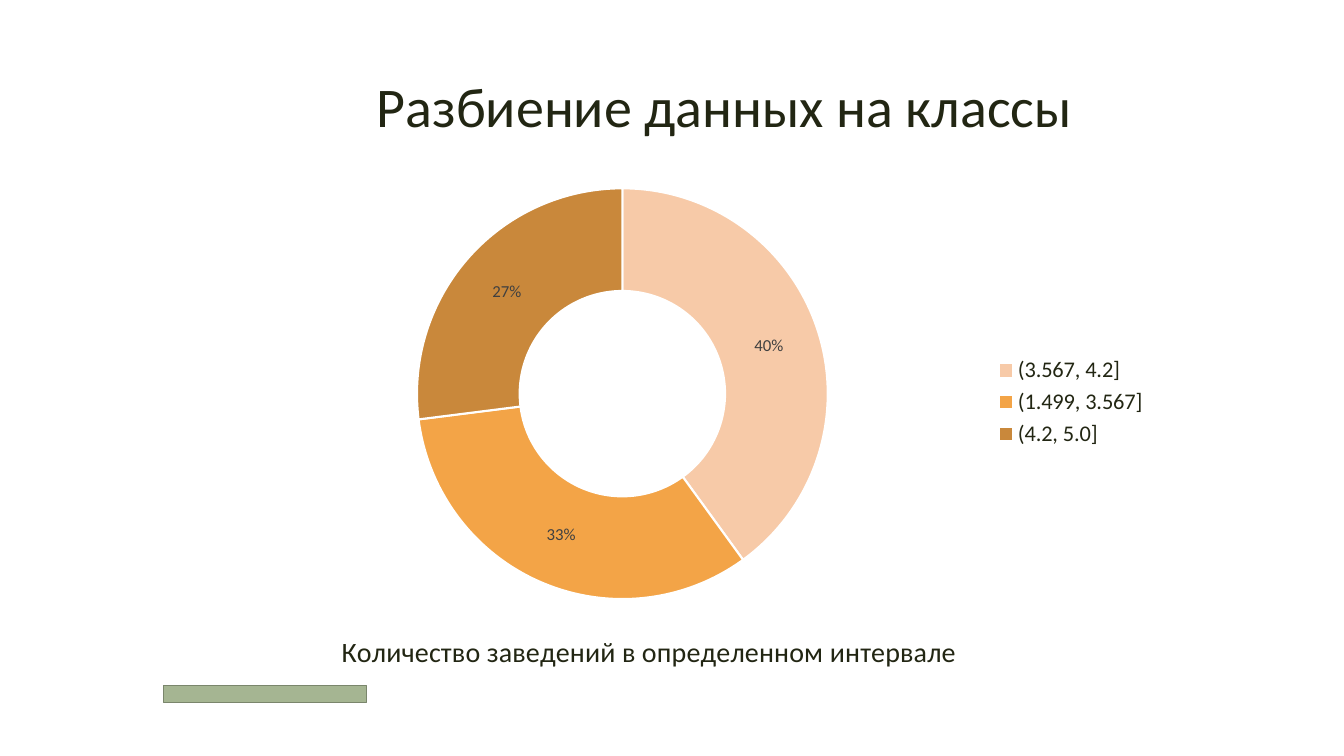
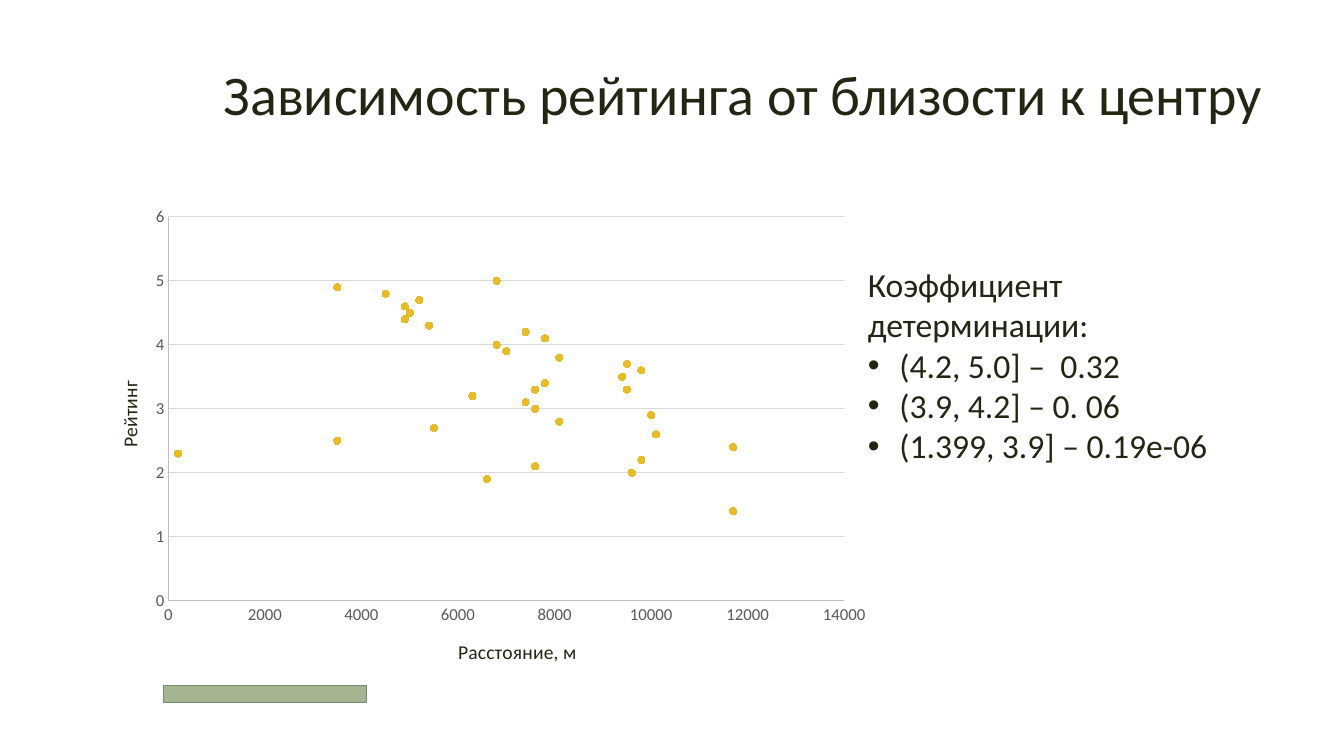
from lxml import etree
from pptx import Presentation
from pptx.chart.data import CategoryChartData, XyChartData
from pptx.dml.color import RGBColor
from pptx.enum import chart as ch, shapes, text
from pptx.oxml.ns import qn
from pptx.util import Pt

FONT = "Calibri"
COLORS = {
    "text": "222613", "band": "A5B592", "band_line": "7A866C",
    "label": "404040", "tick": "595959", "axis": "BFBFBF", "grid": "D9D9D9",
    "marker": "E7BC29", "gap": "FFFFFF",
}

CLASSES_TITLE = "Разбиение данных на классы"
CLASSES_CAPTION = "Количество заведений в определенном интервале"
CLASSES = [  # interval, share in percent, colour
    ("(3.567, 4.2]", 40, "F7CAA8"),
    ("(1.499, 3.567]", 33, "F3A447"),
    ("(4.2, 5.0]", 27, "C9883B"),
]

RATING_TITLE = "Зависимость рейтинга от близости к центру"
DISTANCE_AXIS, RATING_AXIS = "Расстояние, м", "Рейтинг"
RATINGS = [  # distance in metres, rating
    (11700, 1.4), (6600, 1.9), (9600, 2), (7600, 2.1), (9800, 2.2),
    (200, 2.3), (11700, 2.4), (3500, 2.5), (10100, 2.6), (5500, 2.7),
    (8100, 2.8), (10000, 2.9), (7600, 3), (7400, 3.1), (6300, 3.2),
    (9500, 3.3), (7600, 3.3), (7800, 3.4), (9400, 3.5), (9800, 3.6),
    (9500, 3.7), (8100, 3.8), (7000, 3.9), (6800, 4), (7800, 4.1),
    (7400, 4.2), (5400, 4.3), (4900, 4.4), (5000, 4.5), (4900, 4.6),
    (5200, 4.7), (4500, 4.8), (3500, 4.9), (6800, 5),
]
COEFFICIENT_HEADING = "Коэффициент детерминации:"
COEFFICIENTS = ["(4.2, 5.0] –  0.32", "(3.9, 4.2] – 0. 06", "(1.399, 3.9] – 0.19e-06"]


def rgb(name):
    return RGBColor.from_string(COLORS.get(name, name))


def style_font(font, size, color="text"):
    font.name, font.size, font.bold = FONT, Pt(size), False
    font.color.rgb = rgb(color)


def write(paragraph, content, size, color="text", align=None, spacing=None, bullet=None):
    """Fill a paragraph; bullet is True, False, or None to leave bullets alone."""
    run = paragraph.add_run()
    run.text = content
    style_font(run.font, size, color)
    paragraph.alignment = align
    if spacing:
        paragraph.line_spacing = Pt(spacing)
    if bullet is not None:
        paragraph.space_before = Pt(0)
        properties = paragraph._p.get_or_add_pPr()
        indent = Pt(22.5) if bullet else 0
        properties.set("marL", str(indent))
        properties.set("indent", str(-indent))
        if bullet:
            etree.SubElement(properties, qn("a:buFont")).set("typeface", "Arial")
            etree.SubElement(properties, qn("a:buChar")).set("char", "•")
        else:
            etree.SubElement(properties, qn("a:buNone"))


def place(shape, left, top, width, height):
    shape.left, shape.top, shape.width, shape.height = map(Pt, (left, top, width, height))


def set_layout(element, **fractions):
    """Fix a plot area or title inside its chart, in fractions of the chart."""
    for old in element.findall(qn("c:layout")):
        element.remove(old)
    layout = etree.Element(qn("c:layout"))
    manual = etree.SubElement(layout, qn("c:manualLayout"))
    if "w" in fractions:
        etree.SubElement(manual, qn("c:layoutTarget")).set("val", "inner")
    for key in ("x", "y"):
        etree.SubElement(manual, qn(f"c:{key}Mode")).set("val", "edge")
    for key, value in fractions.items():
        etree.SubElement(manual, qn(f"c:{key}")).set("val", str(value))
    element.insert(0 if element.find(qn("c:tx")) is None else 1, layout)


def write_chart_title(title, content, size, x, y):
    write(title.text_frame.paragraphs[0], content, size)
    set_layout(title._element, x=x, y=y)


def start_slide(presentation, layout, title, box, align):
    slide = presentation.slides.add_slide(presentation.slide_layouts[layout])
    place(slide.shapes.title, *box)
    frame = slide.shapes.title.text_frame
    frame.auto_size = text.MSO_AUTO_SIZE.NONE
    frame.vertical_anchor = text.MSO_ANCHOR.MIDDLE
    write(frame.paragraphs[0], title, 40, align=align, spacing=40)

    band = slide.shapes.add_shape(
        shapes.MSO_SHAPE.RECTANGLE, Pt(116.6), Pt(489.6), Pt(145.4), Pt(12.2))
    band.shadow.inherit = False
    band.fill.solid()
    band.fill.fore_color.rgb = rgb("band")
    band.line.color.rgb = rgb("band_line")
    band.line.width = Pt(1)
    return slide


def add_chart(slide, kind, box, data, plot_box):
    chart = slide.shapes.add_chart(kind, *map(Pt, box), data).chart
    style_font(chart.font, 10)
    set_layout(chart.element.find(".//" + qn("c:plotArea")), **plot_box)
    return chart


def add_classes_slide(presentation):
    slide = start_slide(presentation, 5, CLASSES_TITLE, (262, 26.6, 690, 104.4),
                        text.PP_ALIGN.LEFT)
    data = CategoryChartData()
    data.categories = [interval for interval, _, _ in CLASSES]
    data.add_series("Series 1", [share for _, share, _ in CLASSES])
    chart = add_chart(slide, ch.XL_CHART_TYPE.DOUGHNUT, (189.4, 87.1, 637.9, 400.3),
                      data, dict(x=0.17, y=0.11, w=0.46, h=0.75))
    chart.has_title = True
    write_chart_title(chart.chart_title, CLASSES_CAPTION, 20, x=0.08, y=0.9)
    chart.has_legend = True
    chart.legend.position = ch.XL_LEGEND_POSITION.RIGHT
    chart.legend.include_in_layout = False
    style_font(chart.legend.font, 16)

    plot = chart.plots[0]
    plot.vary_by_categories = True
    plot.has_data_labels = True
    labels = plot.data_labels
    labels.show_percentage, labels.show_value = True, False
    labels.number_format, labels.number_format_is_linked = "0%", False
    style_font(labels.font, 12, "label")
    for index, (_, _, color) in enumerate(CLASSES):
        look = plot.series[0].points[index].format
        look.fill.solid()
        look.fill.fore_color.rgb = rgb(color)
        look.line.color.rgb = rgb("gap")
        look.line.width = Pt(1.5)


def style_axis(axis, title, maximum, step, x, y):
    axis.minimum_scale, axis.maximum_scale, axis.major_unit = 0, maximum, step
    axis.major_tick_mark = axis.minor_tick_mark = ch.XL_TICK_MARK.NONE
    axis.tick_labels.number_format = "General"
    axis.tick_labels.number_format_is_linked = False
    style_font(axis.tick_labels.font, 12, "tick")
    axis.format.line.color.rgb = rgb("axis")
    axis.format.line.width = Pt(0.75)
    write_chart_title(axis.axis_title, title, 14, x, y)


def add_rating_slide(presentation):
    slide = start_slide(presentation, 1, RATING_TITLE, (116.6, 18, 828, 104.4),
                        text.PP_ALIGN.CENTER)
    data = XyChartData()
    points = data.add_series("Series 1")
    for distance, rating in RATINGS:
        points.add_data_point(distance, rating)
    chart = add_chart(slide, ch.XL_CHART_TYPE.XY_SCATTER, (63.4, 141.1, 568.1, 347),
                      data, dict(x=0.1, y=0.04, w=0.85, h=0.79))
    chart.has_title = chart.has_legend = False
    chart.plots[0].vary_by_categories = False

    series = chart.plots[0].series[0]
    series.format.line.fill.background()
    series.marker.style, series.marker.size = ch.XL_MARKER_STYLE.CIRCLE, 5
    series.marker.format.fill.solid()
    series.marker.format.fill.fore_color.rgb = rgb("marker")
    series.marker.format.line.color.rgb = rgb("marker")

    style_axis(chart.category_axis, DISTANCE_AXIS, 14000, 2000, x=0.46, y=0.9)
    chart.category_axis.has_major_gridlines = False
    rating_axis = chart.value_axis
    style_axis(rating_axis, RATING_AXIS, 6, 1, x=0.03, y=0.37)
    rating_axis.axis_title._element.find(".//" + qn("a:bodyPr")).set("rot", "-5400000")
    rating_axis.has_major_gridlines = True
    rating_axis.major_gridlines.format.line.color.rgb = rgb("grid")
    rating_axis.major_gridlines.format.line.width = Pt(0.75)

    body = slide.placeholders[1]
    place(body, 612.7, 185, 267.1, 152.6)
    frame = body.text_frame
    frame.word_wrap = True
    frame.auto_size = text.MSO_AUTO_SIZE.NONE
    write(frame.paragraphs[0], COEFFICIENT_HEADING, 24, bullet=False)
    for coefficient in COEFFICIENTS:
        write(frame.add_paragraph(), coefficient, 24, bullet=True)


def main():
    presentation = Presentation()
    presentation.slide_width, presentation.slide_height = Pt(960), Pt(540)
    add_classes_slide(presentation)
    add_rating_slide(presentation)
    presentation.save("out.pptx")


if __name__ == "__main__":
    main()
